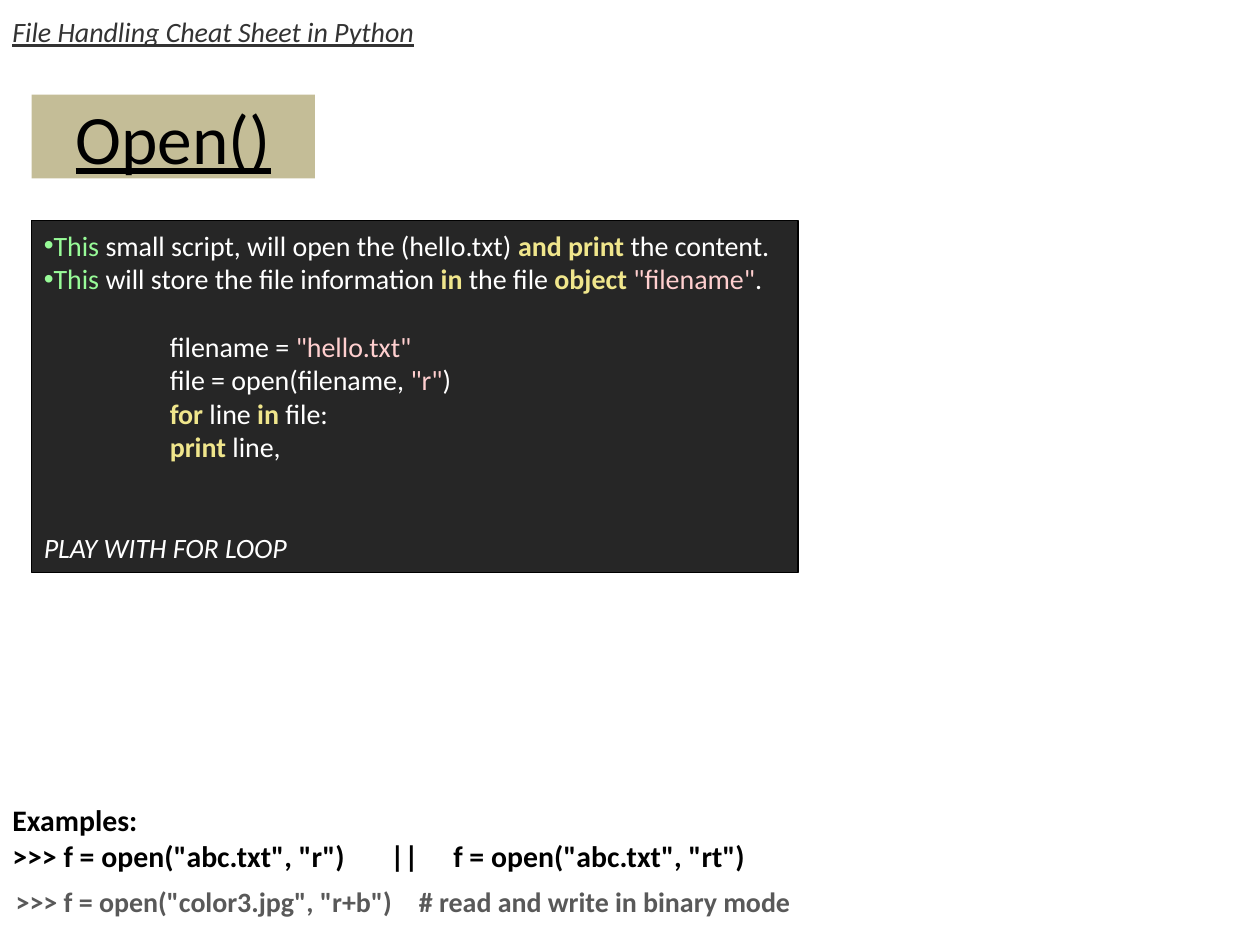
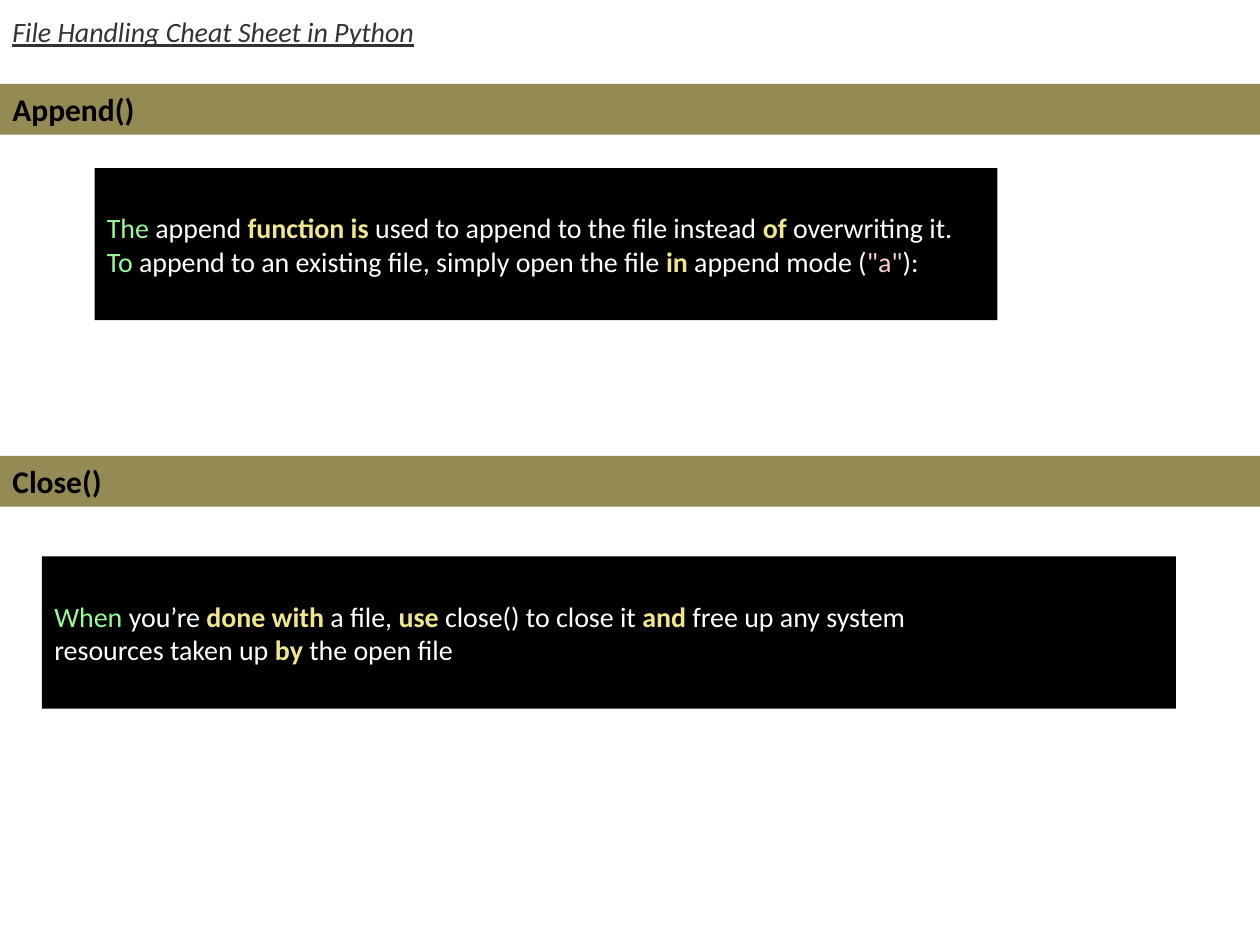
import pptx
import pptx.dml.color
import pptx.enum.shapes
import pptx.enum.text
import pptx.oxml
import pptx.util
from dataclasses import dataclass
from typing import NamedTuple

Pt = pptx.util.Pt
Anchor = pptx.enum.text.MSO_ANCHOR
Align = pptx.enum.text.PP_ALIGN

COLORS = {
    "white": "FFFFFF", "black": "000000", "header": "333333",
    "title": "C4BD97", "band": "948A54", "editor": "262626",
    "muted": "595959", "lead": "98FB98", "keyword": "F0E68C",
    "string": "FFCFCF",
}
FONT = "Calibri"
WIDTH, HEIGHT = 720, 540
BODY_SIZE = 16
LINE = 19.2  # height of one body line


class Span(NamedTuple):
    text: str
    color: str | None = None
    bold: bool | None = None


@dataclass
class Line:
    """One paragraph; a newline in a span breaks the line."""
    spans: list[Span]
    before: float = 0
    indent: float = 0
    bullet: bool = False
    italic: bool = False
    tabs: tuple[float, ...] = ()


class Box(NamedTuple):
    left: float
    top: float
    width: float
    height: float


class Section(NamedTuple):
    name: str
    band_top: float
    panel: Box
    lines: list[Line]


def lead(text: str) -> Span:
    return Span(text, "lead")


def keyword(text: str) -> Span:
    return Span(text, "keyword", True)


def string(text: str) -> Span:
    return Span(text, "string")


def line_of(text: str, **layout) -> Line:
    return Line([Span(text)], **layout)


def rgb(name: str) -> pptx.dml.color.RGBColor:
    return pptx.dml.color.RGBColor.from_string(COLORS[name])


def set_layout(paragraph, line: Line) -> None:
    """Spacing, indent, bullet and tab stops of one paragraph."""
    paragraph.space_before = Pt(line.before)
    properties = paragraph._p.get_or_add_pPr()
    properties.set("marL", str(Pt(line.indent)))
    properties.set("indent", "0")
    ns = 'xmlns:a="http://schemas.openxmlformats.org/drawingml/2006/main"'
    if line.bullet:
        properties.append(pptx.oxml.parse_xml(f'<a:buFont {ns} typeface="Arial"/>'))
        properties.append(pptx.oxml.parse_xml(f'<a:buChar {ns} char="•"/>'))
    if line.tabs:
        stops = "".join(f'<a:tab pos="{Pt(stop)}" algn="l"/>' for stop in line.tabs)
        properties.append(pptx.oxml.parse_xml(f"<a:tabLst {ns}>{stops}</a:tabLst>"))


def write(frame, lines: list[Line], *, size: float = BODY_SIZE, color: str = "black",
          bold: bool = False, italic: bool = False, underline: bool = False,
          align=Align.LEFT, anchor=Anchor.MIDDLE) -> None:
    frame.word_wrap = True
    frame.vertical_anchor = anchor
    for number, line in enumerate(lines):
        paragraph = frame.add_paragraph() if number else frame.paragraphs[0]
        paragraph.alignment = align
        set_layout(paragraph, line)
        for span in line.spans:
            for part_number, part in enumerate(span.text.split("\n")):
                if part_number:
                    paragraph.add_line_break()
                if not part:
                    continue
                run = paragraph.add_run()
                run.text = part
                run.font.name = FONT
                run.font.size = Pt(size)
                run.font.bold = bold if span.bold is None else span.bold
                run.font.italic = italic or line.italic
                run.font.underline = underline
                run.font.color.rgb = rgb(span.color or color)


def add_panel(slide, box: Box, fill: str, lines: list[Line], *,
              border: str | None = None, **text_format) -> None:
    panel = slide.shapes.add_shape(pptx.enum.shapes.MSO_SHAPE.RECTANGLE, *map(Pt, box))
    panel.shadow.inherit = False
    panel.fill.solid()
    panel.fill.fore_color.rgb = rgb(fill)
    if border:
        panel.line.color.rgb = rgb(border)
        panel.line.width = Pt(0.75)
    else:
        panel.line.fill.background()
    write(panel.text_frame, lines, **text_format)


def add_text(slide, box: Box, lines: list[Line], **text_format) -> None:
    label = slide.shapes.add_textbox(*map(Pt, box))
    write(label.text_frame, lines, **text_format)


def add_columns(slide, box: Box, columns: list[tuple[str, float]]) -> None:
    """One-row table without fills."""
    table = slide.shapes.add_table(1, len(columns), *map(Pt, box)).table
    table.first_row = table.horz_banding = False
    for number, (text, width) in enumerate(columns):
        table.columns[number].width = Pt(width)
        cell = table.cell(0, number)
        cell.fill.background()
        cell.margin_left = cell.margin_right = Pt(3)
        cell.margin_top = cell.margin_bottom = Pt(2)
        write(cell.text_frame, [line_of(text)], color="muted", bold=True,
              anchor=Anchor.TOP)


def new_slide(deck):
    """Blank slide with the shared header."""
    slide = deck.slides.add_slide(deck.slide_layouts[6])
    add_text(slide, Box(0, 0, WIDTH, 36),
             [line_of("File Handling Cheat Sheet in Python")],
             color="header", italic=True, underline=True)
    return slide


def build_open(deck) -> None:
    slide = new_slide(deck)
    add_panel(slide, Box(18, 54, 162, 48), "title", [line_of("Open()")],
              size=39.6, underline=True, align=Align.CENTER)

    # Script with its explanation
    script = [
        Line([lead("This"), Span(" small script, will open the (hello.txt) "),
              keyword("and print"), Span(" the content.")], bullet=True),
        Line([lead("This"), Span(" will store the file information "), keyword("in"),
              Span(" the file "), keyword("object "), string('"filename"'), Span(".")],
             bullet=True),
        Line([Span("filename = "), string('"hello.txt"\n'),
              Span("file = open(filename, "), string('"r"'), Span(")\n"),
              keyword("for"), Span(" line "), keyword("in"), Span(" file:\n"),
              keyword("print"), Span(" line,")], before=LINE, indent=72),
        line_of("PLAY WITH FOR LOOP", before=2 * LINE, italic=True),
    ]
    add_panel(slide, Box(18, 126, 438, 201), "editor", script,
              border="black", color="white")

    # Examples
    add_columns(slide, Box(6, 504, 453.6, 23),
                [('>>> f = open("color3.jpg", "r+b")', 230.4),
                 ("# read and write in binary mode", 223.2)])
    add_text(slide, Box(0, 454, WIDTH, 49),
             [line_of("Examples:"),
              line_of('>>> f = open("abc.txt", "r")\t||\tf = open("abc.txt", "rt")',
                      tabs=(208.5, 240.5))],
             size=17, bold=True)


def build_append_close(deck) -> None:
    slide = new_slide(deck)
    sections = [
        Section("Append()", 48, Box(54, 96, 516, 87), [
            Line([lead("The"), Span(" append "), keyword("function is"),
                  Span(" used to append to the file instead "), keyword("of"),
                  Span(" overwriting it.")]),
            Line([lead("To"), Span(" append to an existing file, simply open the file "),
                  keyword("in"), Span(" append mode ("), string('"a"'), Span("):")]),
        ]),
        Section("Close()", 260.5, Box(24, 318, 648, 87), [
            Line([lead("When"), Span(" you’re "), keyword("done with"),
                  Span(" a file, "), keyword("use"), Span(" close() to close it "),
                  keyword("and"), Span(" free up any system\nresources taken up "),
                  keyword("by"), Span(" the open file")]),
        ]),
    ]
    for section in sections:
        add_panel(slide, Box(0, section.band_top, WIDTH, 29), "band",
                  [line_of(section.name)], size=18, bold=True, anchor=Anchor.TOP)
        add_panel(slide, section.panel, "black", section.lines, color="white")


def main() -> None:
    deck = pptx.Presentation()
    deck.slide_width, deck.slide_height = Pt(WIDTH), Pt(HEIGHT)
    build_open(deck)
    build_append_close(deck)
    deck.save("out.pptx")


main()
